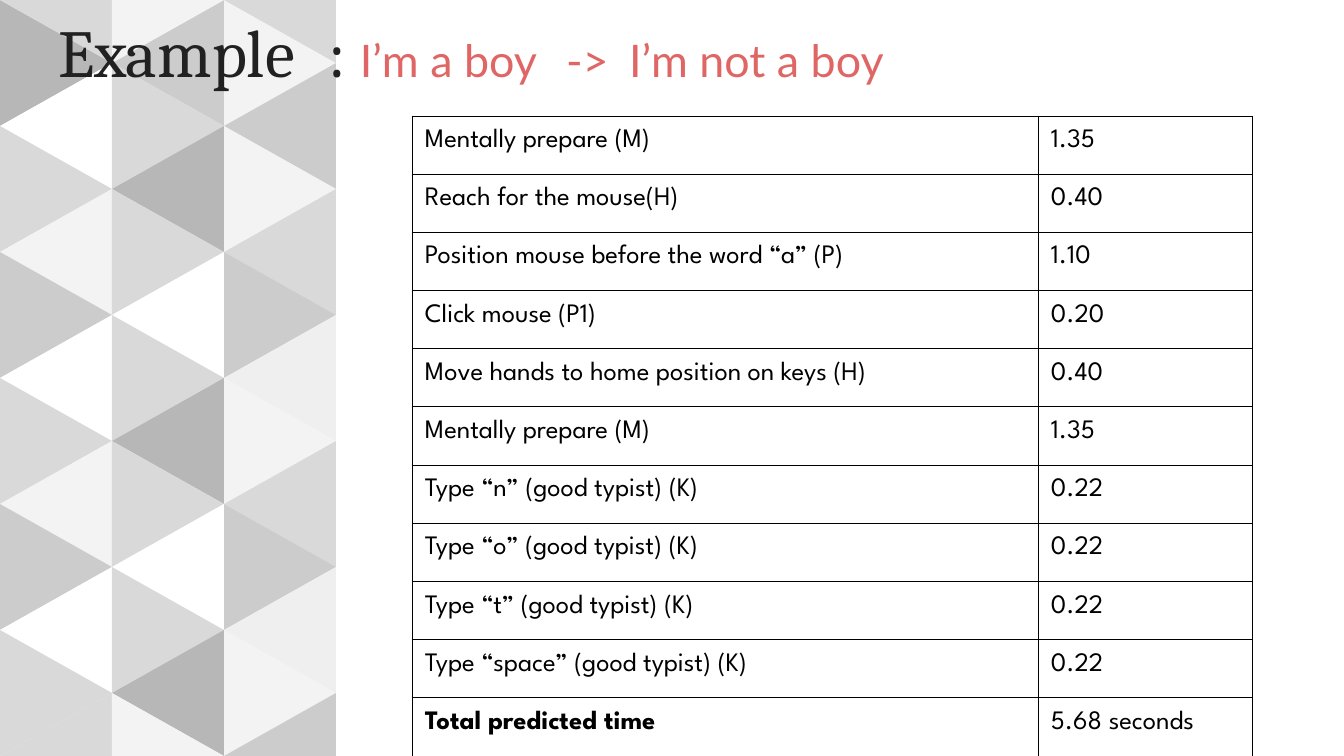
"""Build the keystroke-level timing example slide with its triangle mosaic."""
from dataclasses import dataclass
from typing import Any

from lxml.etree import SubElement
from pptx import Presentation
from pptx.dml.color import RGBColor
from pptx.enum.shapes import MSO_SHAPE
from pptx.enum.text import MSO_ANCHOR, MSO_AUTO_SIZE, PP_ALIGN
from pptx.oxml.ns import qn
from pptx.util import Emu, Pt

EMU_PER_PX = 914400 / 100.8
PAGE_WIDTH, PAGE_HEIGHT = 1344, 756
TILE_WIDTH, TILE_HALF = 112, 63
INSET = 13
TITLE_TABS = (270, 508, 571)
TABLE_COLUMNS = (626, 214)


@dataclass(frozen=True)
class Theme:
    """Colours, fonts and type sizes."""
    ink: str = "212121"
    accent: str = "E06666"
    black: str = "000000"
    title_font: str = "Cambria"
    example_font: str = "Lato"
    table_font: str = "League Spartan"
    title_size: int = 48
    example_size: int = 32
    table_size: int = 19
    border: float = 0.75


@dataclass(frozen=True)
class MosaicColumn:
    """One column of triangles from top to bottom, with half tiles at the ends."""
    points_right_first: bool
    top: str
    tiles: tuple[str, ...]
    bottom: str


@dataclass(frozen=True)
class Step:
    """One timed action."""
    action: str
    time: str
    bold: bool = False


THEME = Theme()
MOSAIC = (
    MosaicColumn(True, "D9D9D9", (
        "B7B7B7", "FFFFFF", "D9D9D9", "F3F3F3", "CCCCCC", "FFFFFF",
        "D9D9D9", "F3F3F3", "CCCCCC", "FFFFFF", "D9D9D9"), "D9D9D9"),
    MosaicColumn(False, "F3F3F3", (
        "CCCCCC", "D9D9D9", "B7B7B7", "D9D9D9", "FFFFFF", "D9D9D9",
        "B7B7B7", "D9D9D9", "FFFFFF", "D9D9D9", "B7B7B7"), "F3F3F3"),
    MosaicColumn(True, "D9D9D9", (
        "F3F3F3", "CCCCCC", "F3F3F3", "D9D9D9", "CCCCCC", "EFEFEF",
        "F3F3F3", "D9D9D9", "CCCCCC", "EFEFEF", "F3F3F3"), "CCCCCC"),
)
STEPS = (
    Step("Mentally prepare (M)", "1.35"),
    Step("Reach for the mouse(H)", "0.40"),
    Step("Position mouse before the word “a” (P)", "1.10"),
    Step("Click mouse (P1)", "0.20"),
    Step("Move hands to home position on keys (H)", "0.40"),
    Step("Mentally prepare (M)", "1.35"),
    *(Step(f"Type “{key}” (good typist) (K)", "0.22") for key in ("n", "o", "t", "space")),
    Step("Total predicted time", "5.68 seconds", True),
)


def px(length: float) -> Emu:
    """Turn pixels into EMU."""
    return Emu(round(length * EMU_PER_PX))


def apply(target: Any, values: dict[str, Any]) -> None:
    """Set every named attribute on the target."""
    for name, value in values.items():
        setattr(target, name, value)


def add_span(para: Any, text: str, font: str, size: int, color: str, bold: bool = False) -> None:
    """Append one formatted span to a paragraph."""
    span = para.add_run()
    span.text = text
    apply(span.font, {"name": font, "size": Pt(size), "bold": bold})
    span.font.color.rgb = RGBColor.from_string(color)


def add_triangle(page: Any, kind: MSO_SHAPE, center_x: float, center_y: float,
                 width: int, rotation: int, color: str, flipped: bool = False) -> None:
    """Draw one turned triangle around its centre."""
    triangle = page.shapes.add_shape(
        kind, px(center_x - width / 2), px(center_y - TILE_WIDTH / 2), px(width), px(TILE_WIDTH))
    triangle.rotation = rotation
    triangle.shadow.inherit = False
    triangle.fill.solid()
    triangle.fill.fore_color.rgb = RGBColor.from_string(color)
    triangle.line.fill.background()
    if flipped:
        triangle.element.spPr.xfrm.set("flipH", "1")


def draw_mosaic(page: Any) -> None:
    """Draw the triangle columns on the left."""
    for index, column in enumerate(MOSAIC):
        center_x = TILE_WIDTH * (index + 0.5)
        for row, color in enumerate(column.tiles):
            points_right = column.points_right_first == (row % 2 == 0)
            add_triangle(page, MSO_SHAPE.ISOSCELES_TRIANGLE, center_x, TILE_HALF * (row + 1),
                         2 * TILE_HALF, 90 if points_right else 270, color)
        rotation = 270 if column.points_right_first else 90
        ends = ((TILE_HALF / 2, column.top, column.points_right_first),
                (PAGE_HEIGHT - TILE_HALF / 2, column.bottom, not column.points_right_first))
        for center_y, color, flipped in ends:
            add_triangle(page, MSO_SHAPE.RIGHT_TRIANGLE, center_x, center_y,
                         TILE_HALF, rotation, color, flipped)


def write_title(page: Any) -> None:
    """Place the title above the mosaic and fill it."""
    title = page.shapes.title
    title.element.getparent().append(title.element)
    apply(title, {"left": px(45), "top": px(14), "width": px(1091), "height": px(90)})
    frame = title.text_frame
    apply(frame, {"word_wrap": True, "auto_size": MSO_AUTO_SIZE.NONE,
                  "vertical_anchor": MSO_ANCHOR.BOTTOM,
                  **{f"margin_{side}": px(INSET) for side in ("left", "top", "right", "bottom")}})
    para = frame.paragraphs[0]
    para.alignment = PP_ALIGN.LEFT
    tabs = SubElement(para._p.get_or_add_pPr(), qn("a:tabLst"))
    for position in TITLE_TABS:
        SubElement(tabs, qn("a:tab"), pos=str(px(position)), algn="l")
    add_span(para, "Example\t: ", THEME.title_font, THEME.title_size, THEME.ink)
    add_span(para, "I’m a boy\t->\tI’m not a boy",
             THEME.example_font, THEME.example_size, THEME.accent)


def format_cell(cell: Any, text: str, bold: bool) -> None:
    """Write one bordered table cell."""
    properties = cell._tc.get_or_add_tcPr()
    for side in ("lnL", "lnR", "lnT", "lnB"):
        border = SubElement(properties, qn(f"a:{side}"), w=str(Pt(THEME.border)))
        SubElement(SubElement(border, qn("a:solidFill")), qn("a:srgbClr"), val=THEME.black)
    cell.fill.background()
    apply(cell, {"vertical_anchor": MSO_ANCHOR.TOP,
                 **{f"margin_{side}": px(INSET) for side in ("left", "top", "right", "bottom")}})
    add_span(cell.text_frame.paragraphs[0], text,
             THEME.table_font, THEME.table_size, THEME.black, bold)


def draw_table(page: Any) -> None:
    """Draw the table of actions and times."""
    table = page.shapes.add_table(len(STEPS), len(TABLE_COLUMNS), px(412), px(116),
                                  px(sum(TABLE_COLUMNS)), px(640)).table
    apply(table, {"first_row": False, "horz_banding": False})
    for column, width in zip(table.columns, TABLE_COLUMNS):
        column.width = px(width)
    for row, step in enumerate(STEPS):
        format_cell(table.cell(row, 0), step.action, step.bold)
        format_cell(table.cell(row, 1), step.time, False)


def main() -> None:
    """Build and save the deck."""
    deck = Presentation()
    apply(deck, {"slide_width": px(PAGE_WIDTH), "slide_height": px(PAGE_HEIGHT)})
    page = deck.slides.add_slide(deck.slide_layouts[5])
    draw_mosaic(page)
    write_title(page)
    draw_table(page)
    deck.save("out.pptx")


if __name__ == "__main__":
    main()
